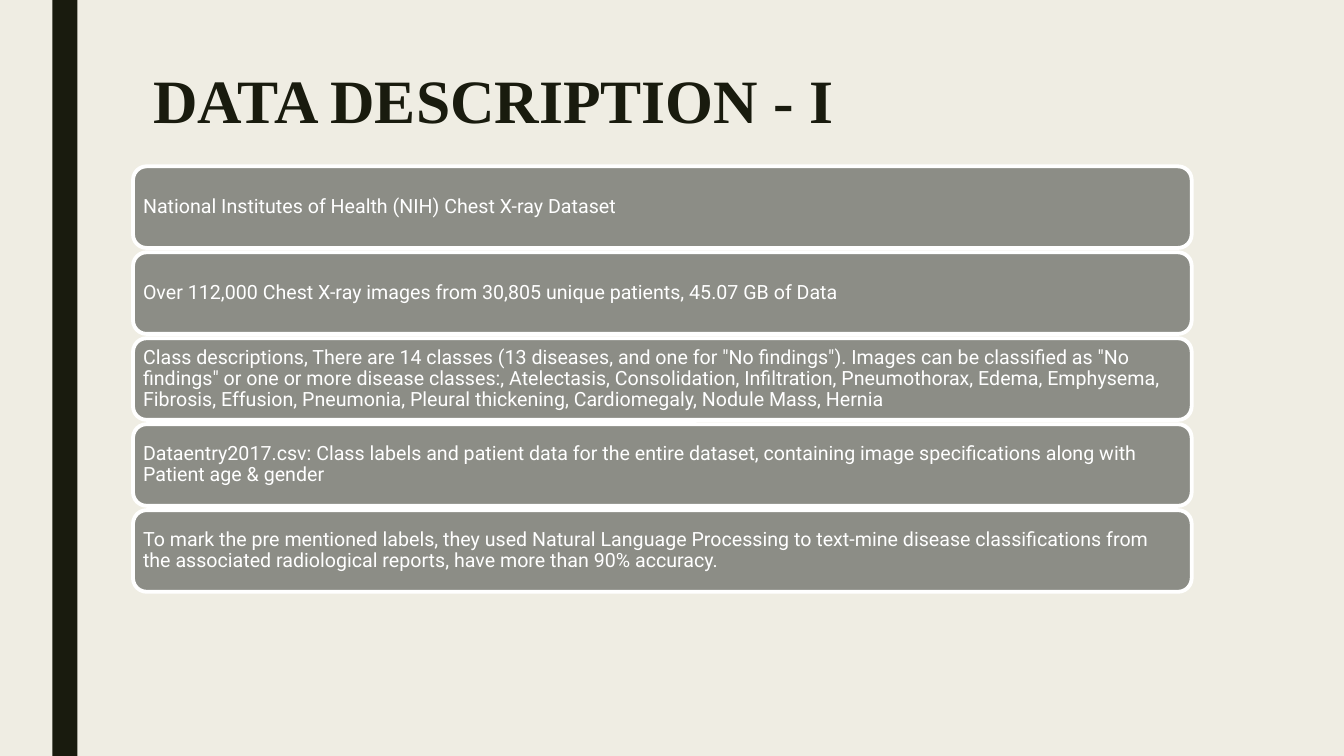
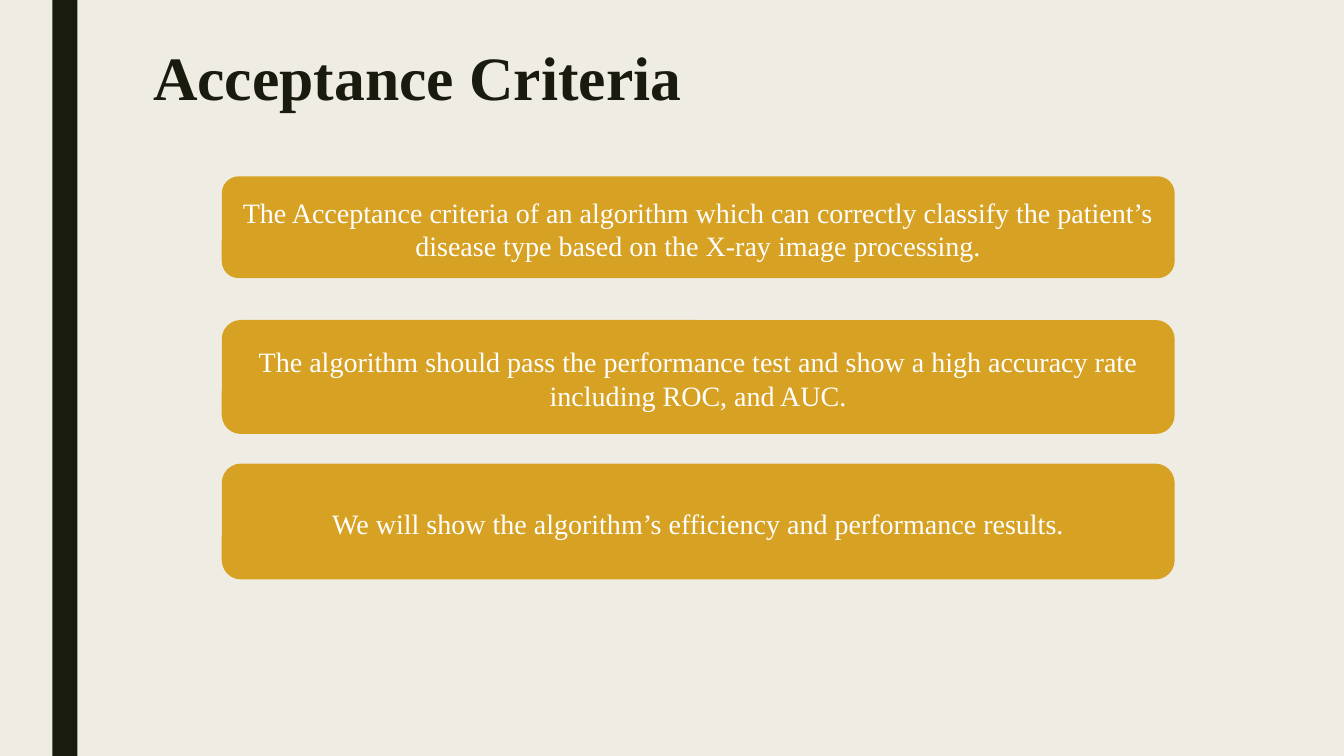
from pptx import Presentation, util as u
from pptx.dml import color
from pptx.enum import shapes, text

COLORS = {"paper": "EFEDE3", "ink": "191B0E", "gray": "8C8D86", "gold": "D7A124", "white": "FFFFFF"}
RGB = {name: color.RGBColor.from_string(value) for name, value in COLORS.items()}

presentation = Presentation()
presentation.slide_width = u.Inches(13.33)
presentation.slide_height = u.Inches(7.5)
column = presentation.slide_width / 100
row = presentation.slide_height / 100

background = presentation.slide_master.background.fill
background.solid()
background.fore_color.rgb = RGB["paper"]

TITLE = {
    "frame": {"word_wrap": True, "vertical_anchor": text.MSO_ANCHOR.TOP},
    "paragraph": {"alignment": text.PP_ALIGN.LEFT, "line_spacing": 0.89},
    "font": {"name": "Times New Roman", "size": u.Pt(44), "bold": True},
    "color": "ink",
}
FACT = {
    "frame": {"word_wrap": True, "vertical_anchor": text.MSO_ANCHOR.MIDDLE,
              **dict.fromkeys(("margin_left", "margin_top", "margin_right", "margin_bottom"), u.Inches(0.06))},
    "paragraph": {"alignment": text.PP_ALIGN.LEFT, "line_spacing": 0.9},
    "font": {"name": "Roboto", "size": u.Pt(14)},
    "color": "white",
}
CRITERION = {
    "frame": {"word_wrap": True, "vertical_anchor": text.MSO_ANCHOR.MIDDLE, "margin_top": u.Inches(0.08)},
    "paragraph": {"alignment": text.PP_ALIGN.CENTER},
    "font": {"name": "Times New Roman", "size": u.Pt(20)},
    "color": "white",
}

SLIDES = [
    {
        "title": "DATA DESCRIPTION - I", "title_top": 8.67, "title_height": 12.93,
        "left": 9.9, "width": 78.77, "top": 22, "pitch": 11.37,
        "fill": "gray", "outline": "white", "style": FACT,
        "cards": [
            (10.8, "National Institutes of Health (NIH) Chest X-ray Dataset"),
            (10.8, "Over 112,000 Chest X-ray images from 30,805 unique patients, 45.07 GB of Data"),
            (10.8, 'Class descriptions, There are 14 classes (13 diseases, and one for "No findings"). '
                   'Images can be classified as "No findings" or one or more disease classes:, Atelectasis, '
                   "Consolidation, Infiltration, Pneumothorax, Edema, Emphysema, Fibrosis, Effusion, Pneumonia, "
                   "Pleural thickening, Cardiomegaly, Nodule Mass, Hernia"),
            (10.8, "Dataentry2017.csv: Class labels and patient data for the entire dataset, containing image "
                   "specifications along with Patient age & gender"),
            (10.8, "To mark the pre mentioned labels, they used Natural Language Processing to text-mine disease "
                   "classifications from the associated radiological reports, have more than 90% accuracy."),
        ],
    },
    {
        "title": "Acceptance Criteria", "title_top": 5.73, "title_height": 21.6,
        "left": 16.5, "width": 70.9, "top": 23.33, "pitch": 19,
        "fill": "gold", "outline": None, "style": CRITERION,
        "cards": [
            (13.47, "The Acceptance criteria of an algorithm which can correctly classify the patient’s disease "
                    "type based on the X-ray image processing."),
            (15.07, "The algorithm should pass the performance test and show a high accuracy rate including ROC, "
                    "and AUC."),
            (15.33, "We will show the algorithm’s efficiency and performance results."),
        ],
    },
]


def write(shape, words, style):
    frame = shape.text_frame
    paragraph = frame.paragraphs[0]
    paragraph.text = words
    for target, part in ((frame, "frame"), (paragraph, "paragraph"), (paragraph.runs[0].font, "font")):
        for name, value in style[part].items():
            setattr(target, name, value)
    paragraph.runs[0].font.color.rgb = RGB[style["color"]]


def add_panel(slide, kind, left, top, width, height, fill, outline=None):
    shape = slide.shapes.add_shape(kind, round(left * column), round(top * row),
                                   round(width * column), round(height * row))
    shape.shadow.inherit = False
    shape.fill.solid()
    shape.fill.fore_color.rgb = RGB[fill]
    if outline:
        shape.line.color.rgb = RGB[outline]
        shape.line.width = u.Pt(2.75)
    else:
        shape.line.fill.background()
    return shape


for content in SLIDES:
    slide = presentation.slides.add_slide(presentation.slide_layouts[6])
    add_panel(slide, shapes.MSO_SHAPE.RECTANGLE, 3.9, 0, 1.87, 100, "ink")
    title = slide.shapes.add_textbox(round(10.65 * column), round(content["title_top"] * row),
                                     round(78.77 * column), round(content["title_height"] * row))
    write(title, content["title"], TITLE)
    for index, (height, words) in enumerate(content["cards"]):
        card = add_panel(slide, shapes.MSO_SHAPE.ROUNDED_RECTANGLE, content["left"],
                         content["top"] + index * content["pitch"], content["width"], height,
                         content["fill"], content["outline"])
        write(card, words, content["style"])

presentation.save("out.pptx")
